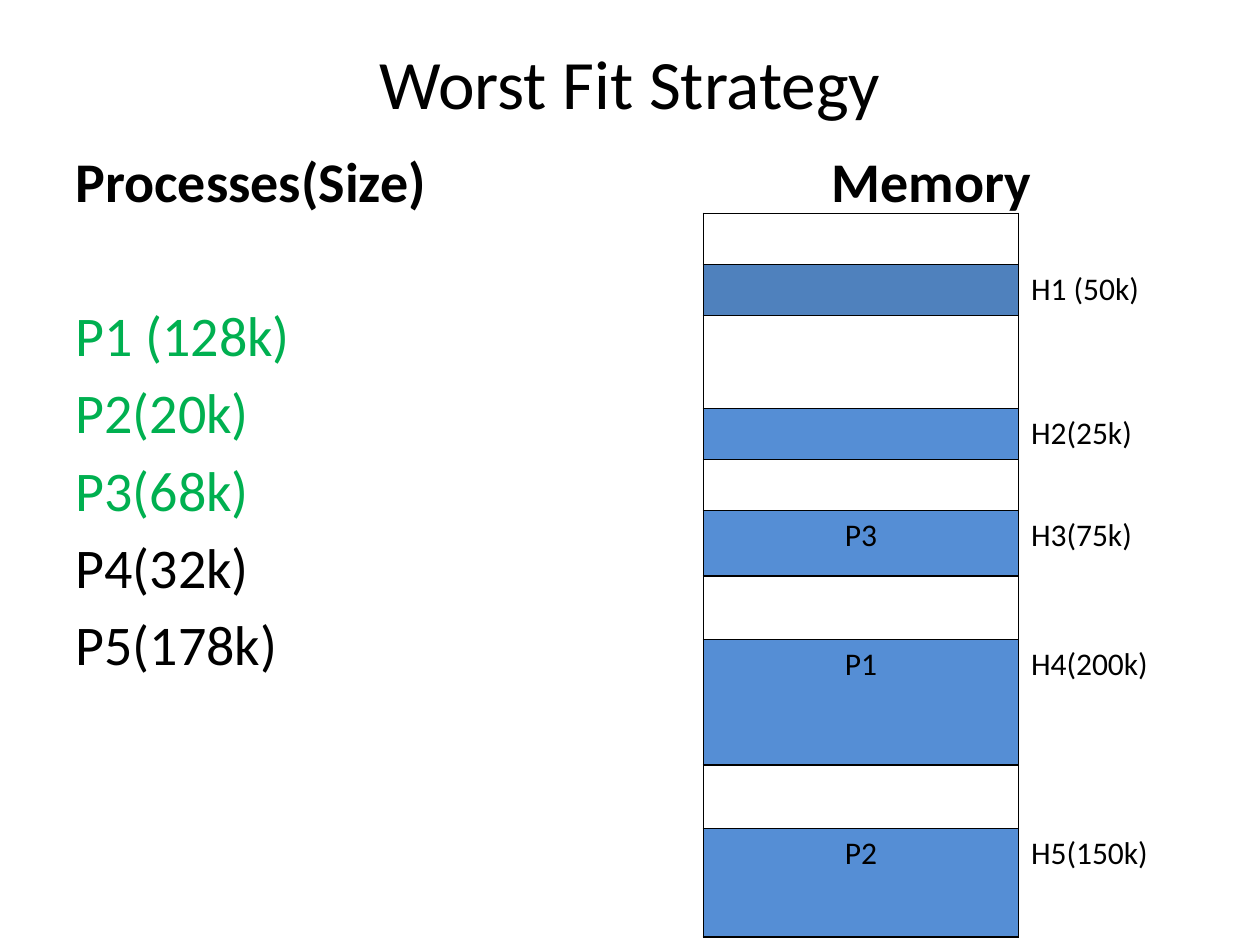
from lxml import etree
from pptx import Presentation, util as u
from pptx.dml.color import RGBColor
from pptx.enum import text
from pptx.oxml.ns import qn

HUES = {"black": "000000", "green": "00B050", "steel": "4F81BD", "blue": "558ED5"}

deck = Presentation()
deck.slide_width, deck.slide_height = u.Cm(25.4), u.Cm(19.05)
slide = deck.slides.add_slide(deck.slide_layouts[6])


def write(para, words, hue="black", **form):
    run = para.add_run()
    run.text = words
    run.font.color.rgb = RGBColor.from_string(HUES[hue])
    for key, val in {"name": "Calibri", **form}.items():
        setattr(run.font, key, val)


def edge(cell, sides):
    """Draw black lines on the given sides and none on the others."""
    props = cell._tc.get_or_add_tcPr()
    for spot, side in enumerate("LRTB"):
        line = etree.Element(qn("a:ln" + side), w=str(u.Pt(1)))
        if side in sides:
            fill = etree.SubElement(line, qn("a:solidFill"))
            etree.SubElement(fill, qn("a:srgbClr"), val=HUES["black"])
        else:
            etree.SubElement(line, qn("a:noFill"))
        props.insert(spot, line)


# Title
box = slide.shapes.add_textbox(u.Cm(1.27), u.Cm(0.76), u.Cm(22.86), u.Cm(1.78))
frame = box.text_frame
frame.word_wrap = True
frame.vertical_anchor = text.MSO_ANCHOR.MIDDLE
frame.paragraphs[0].alignment = text.PP_ALIGN.CENTER
write(frame.paragraphs[0], "Worst Fit Strategy", size=u.Pt(39.6))

# Headings and process list
box = slide.shapes.add_textbox(u.Cm(1.27), u.Cm(2.82), u.Cm(22.86), u.Cm(16.23))
frame = box.text_frame
frame.word_wrap = True
head = frame.paragraphs[0]
tabs = etree.SubElement(head._p.get_or_add_pPr(), qn("a:tabLst"))
etree.SubElement(tabs, qn("a:tab"), pos=str(u.Cm(15.25)), algn="l")
write(head, "Processes(Size)\tMemory", size=u.Pt(32), bold=True)

jobs = [("P1 (128k)", "green"), ("P2(20k)", "green"), ("P3(68k)", "green"),
        ("P4(32k)", "black"), ("P5(178k)", "black")]
for num, (job, hue) in enumerate(jobs):
    para = frame.add_paragraph()
    para.space_before = u.Pt(5.7 if num else 50)
    write(para, job, hue, size=u.Pt(32))

# Memory map: height, fill, process, hole
rows = [
    (1.03, None, "", ""),
    (1.03, "steel", "", "H1 (50k)"),
    (1.87, None, "", ""),
    (1.03, "blue", "", "H2(25k)"),
    (1.03, None, "", ""),
    (1.32, "blue", "P3", "H3(75k)"),
    (1.28, None, "", ""),
    (2.53, "blue", "P1", "H4(200k)"),
    (1.28, None, "", ""),
    (2.19, "blue", "P2", "H5(150k)"),
]
high = sum(row[0] for row in rows)
grid = slide.shapes.add_table(len(rows), 2, u.Cm(14.18), u.Cm(4.3),
                              u.Cm(9.32), u.Cm(high)).table
grid.first_row = grid.horz_banding = False
for col, wide in zip(grid.columns, (6.35, 2.97)):
    col.width = u.Cm(wide)

for num, (tall, hue, job, hole) in enumerate(rows):
    grid.rows[num].height = u.Cm(tall)
    block, label = grid.cell(num, 0), grid.cell(num, 1)
    for cell, words, sides in ((block, job, "LRTB"), (label, hole, "L")):
        cell.fill.background()
        edge(cell, sides)
        if words:
            write(cell.text_frame.paragraphs[0], words, size=u.Pt(18))
    if hue:
        block.fill.solid()
        block.fill.fore_color.rgb = RGBColor.from_string(HUES[hue])
    if job:
        block.text_frame.paragraphs[0].alignment = text.PP_ALIGN.CENTER

deck.save("out.pptx")
